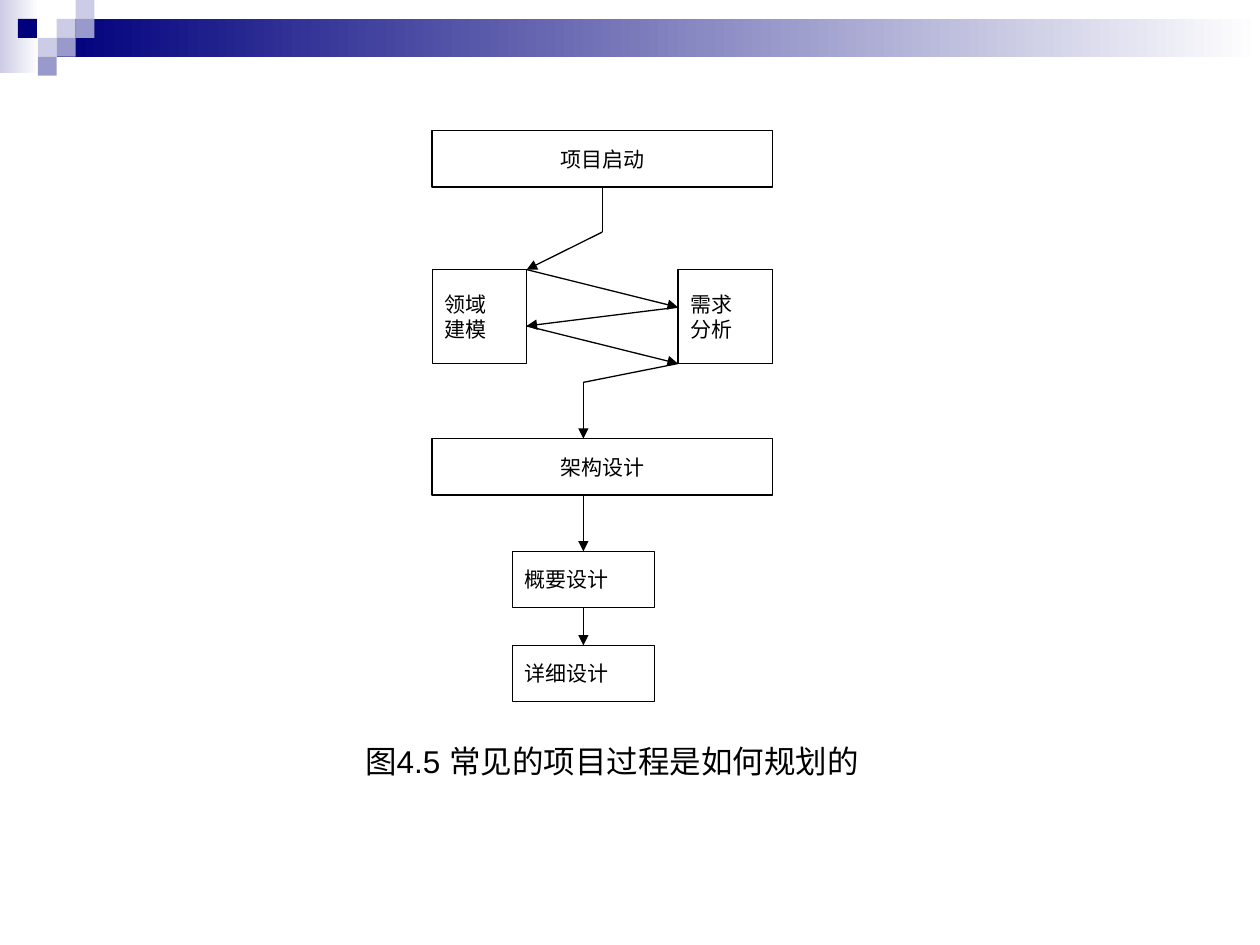
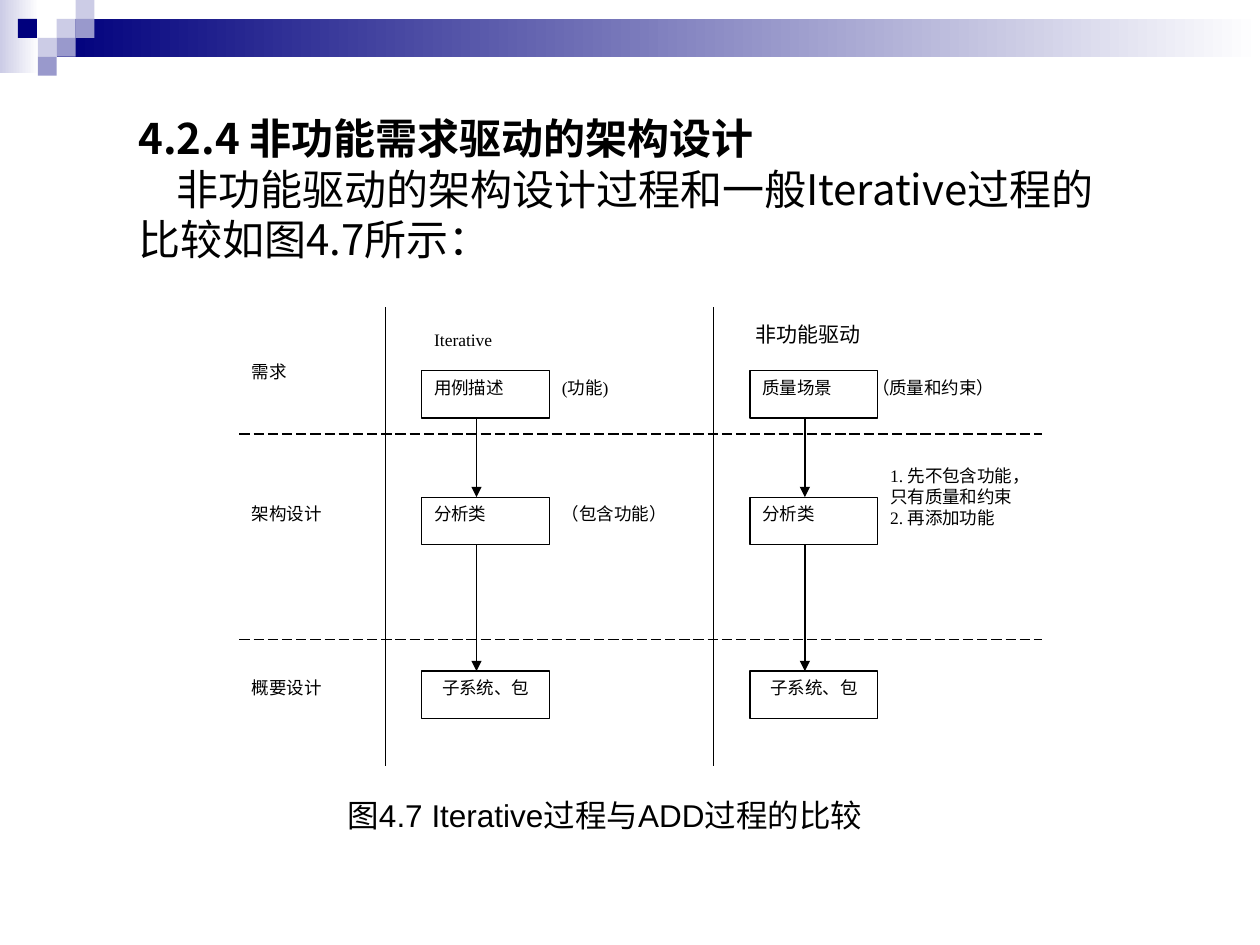
from dataclasses import dataclass
from typing import NamedTuple, Optional

from lxml.etree import SubElement
from pptx import Presentation
from pptx.dml.color import RGBColor as Color
from pptx.enum.dml import MSO_LINE_DASH_STYLE as Dash
from pptx.enum.shapes import MSO_CONNECTOR as Connector, MSO_SHAPE as Preset
from pptx.enum.text import MSO_ANCHOR as Anchor, PP_ALIGN as Align
from pptx.oxml.ns import qn
from pptx.util import Inches, Pt

TOP, BOTTOM = 0, 2


@dataclass(frozen=True)
class Theme:
    ink: Color = Color.from_string("000000")
    paper: Color = Color.from_string("FFFFFF")
    navy: Color = Color.from_string("00007D")
    lilac: Color = Color.from_string("9999CC")
    mist: Color = Color.from_string("CCCCE6")
    serif: str = "Times New Roman"
    sans: str = "Arial"
    chinese: str = "Noto Sans CJK SC"
    heading_size: float = 24
    caption_size: float = 18
    step_size: float = 12
    label_size: float = 10
    line_width: float = 0.75


THEME = Theme()


@dataclass(frozen=True)
class Grid:
    left: float
    top: float
    width: float
    height: float
    columns: int
    rows: int

    def point(self, column: float, row: float) -> tuple:
        return (Inches(self.left + column * self.width / self.columns),
                Inches(self.top + row * self.height / self.rows))

    def area(self, column: float, row: float, wide: float, high: float) -> tuple:
        left, top = self.point(column, row)
        right, bottom = self.point(column + wide, row + high)
        return left, top, right - left, bottom - top


PAGE = Grid(0, 0, 10, 7.5, 100, 100)
HEADER = Grid(0, 0, 0.75, 0.6, 5, 4)
FLOW = Grid(3.43, 2.14, 2.7, 3.43, 18, 23)
COMPARISON = Grid(1.9, 2.44, 6.37, 3.64, 44, 29)


class Tile(NamedTuple):
    column: float
    row: float
    color: Color


class Step(NamedTuple):
    column: float
    row: float
    wide: float
    high: float
    lines: tuple
    centered: bool = False


class Arrow(NamedTuple):
    start: tuple
    end: tuple
    head: bool = True
    source: Optional[str] = None
    target: Optional[str] = None


class Label(NamedTuple):
    column: float
    row: float
    wide: float
    lines: tuple
    size: float = THEME.label_size
    high: float = 3


class Process(NamedTuple):
    column: int
    boxes: tuple


TILES = (
    Tile(3, 1, THEME.mist), Tile(4, 0, THEME.mist), Tile(4, 1, THEME.lilac),
    Tile(2, 2, THEME.mist), Tile(0.95, 1, THEME.navy),
    Tile(3, 2, THEME.lilac), Tile(2, 3, THEME.lilac),
)

STEPS = {
    "start": Step(0, -7.4, 18, 3, ("项目启动",), True),
    "domain": Step(0, 0, 5, 5, ("领域", "建模")),
    "needs": Step(13, 0, 5, 5, ("需求", "分析")),
    "architecture": Step(0, 9, 18, 3, ("架构设计",), True),
    "outline": Step(4.25, 15, 7.5, 3, ("概要设计",)),
    "detail": Step(4.25, 20, 7.5, 3, ("详细设计",)),
}

ARROWS = (
    Arrow((9, -4.4), (9, -2), head=False, source="start"),
    Arrow((9, -2), (5, 0)),
    Arrow((5, 0), (13, 2)),
    Arrow((13, 2), (5, 3)),
    Arrow((5, 3), (13, 5)),
    Arrow((13, 5), (8, 6), head=False),
    Arrow((8, 6), (8, 9)),
    Arrow((8, 12), (8, 15), target="outline"),
    Arrow((8, 18), (8, 20), source="outline", target="detail"),
)

STAGE_ROWS = (4, 12, 23)
BOX_WIDE, BOX_HIGH = 7, 3
PROCESSES = (
    Process(10, ("用例描述", "分析类", "子系统、包")),
    Process(28, ("质量场景", "分析类", "子系统、包")),
)
LABELS = (
    Label(0, 3, 6, ("需求",)),
    Label(0, 12, 7, ("架构设计",)),
    Label(0, 23, 7, ("概要设计",)),
    Label(10, 1, 6, ("Iterative",)),
    Label(27.6, 0.5, 8.8, ("非功能驱动",), THEME.step_size),
    Label(17, 4, 6, ("(功能)",)),
    Label(34, 4, 10, ("（质量和约束）",)),
    Label(17, 12, 9, ("（包含功能）",)),
    Label(35, 9.6, 9, ("1. 先不包含功能，只有质量和约束", "2. 再添加功能"), high=9.9),
)


def write_text(box, lines, *, size, font=THEME.serif, align=Align.LEFT,
               anchor=Anchor.TOP, wrap=True, bold_lines=(), indents=()):
    """Fill a box with one paragraph a line; indents maps line number to inches."""
    frame = box.text_frame
    frame.word_wrap = wrap
    frame.vertical_anchor = anchor
    indents = dict(indents)
    for number, line in enumerate(lines):
        para = frame.paragraphs[0] if number == 0 else frame.add_paragraph()
        para.alignment = align
        if number in indents:
            para._p.get_or_add_pPr().set("indent", str(Inches(indents[number])))
        span = para.add_run()
        span.text = line
        span.font.size = Pt(size)
        span.font.name = font
        span.font.bold = number in bold_lines
        span.font.color.rgb = THEME.ink
        SubElement(span._r.get_or_add_rPr(), qn("a:ea"), typeface=THEME.chinese)


def add_rectangle(page, area: tuple, color: Color, fade_to: Optional[Color] = None,
                  outlined: bool = False):
    box = page.shapes.add_shape(Preset.RECTANGLE, *area)
    box.shadow.inherit = False
    if fade_to is None:
        box.fill.solid()
        box.fill.fore_color.rgb = color
    else:
        box.fill.gradient()
        box.fill.gradient_angle = 0
        for stop, shade in zip(box.fill.gradient_stops, (color, fade_to)):
            stop.color.rgb = shade
    if outlined:
        box.line.color.rgb = THEME.ink
        box.line.width = Pt(THEME.line_width)
    else:
        box.line.fill.background()
    return box


def add_line(page, start: tuple, end: tuple, head: bool = False, dashed: bool = False):
    line = page.shapes.add_connector(Connector.STRAIGHT, *start, *end)
    line.line.color.rgb = THEME.ink
    line.line.width = Pt(THEME.line_width)
    if dashed:
        line.line.dash_style = Dash.LONG_DASH
    if head:
        SubElement(line.line._get_or_add_ln(), qn("a:tailEnd"), type="triangle")
    SubElement(line._element.spPr, qn("a:effectLst"))
    return line


def add_text(page, area: tuple, lines: tuple, **text_format):
    write_text(page.shapes.add_textbox(*area), lines, **text_format)


def add_caption(page, area: tuple, caption: str):
    add_text(page, area, (caption,), size=THEME.caption_size, font=THEME.sans)


def add_page(deck):
    """Add a blank page with the shared header band and tiles."""
    page = deck.slides.add_slide(deck.slide_layouts[6])
    add_rectangle(page, PAGE.area(0, 0, 3.1, 7.75), THEME.mist, THEME.paper)
    add_rectangle(page, PAGE.area(4.5, 2, 95.5, 4), THEME.navy, THEME.paper)
    for tile in TILES:
        add_rectangle(page, HEADER.area(tile.column, tile.row, 1, 1), tile.color)
    return page


def build_flow_page(deck):
    page = add_page(deck)
    boxes = {}
    for name, step in STEPS.items():
        area = FLOW.area(step.column, step.row, step.wide, step.high)
        boxes[name] = add_rectangle(page, area, THEME.paper, outlined=True)
        write_text(boxes[name], step.lines, size=THEME.step_size,
                   align=Align.CENTER if step.centered else Align.LEFT,
                   anchor=Anchor.MIDDLE, wrap=step.centered)
    for arrow in ARROWS:
        line = add_line(page, FLOW.point(*arrow.start), FLOW.point(*arrow.end), arrow.head)
        if arrow.source:
            line.begin_connect(boxes[arrow.source], BOTTOM)
        if arrow.target:
            line.end_connect(boxes[arrow.target], TOP)
    add_caption(page, PAGE.area(28, 77.9, 42, 9.3), "图4.5 常见的项目过程是如何规划的")


def build_comparison_page(deck):
    page = add_page(deck)
    heading = ("4.2.4 非功能需求驱动的架构设计",
               "非功能驱动的架构设计过程和一般Iterative过程的比较如图4.7所示：")
    add_text(page, PAGE.area(10, 11.3, 79.2, 28), heading, size=THEME.heading_size,
             font=THEME.chinese, bold_lines=(0,), indents={1: 0.3})
    for column in (8, 26):
        add_line(page, COMPARISON.point(column, 0), COMPARISON.point(column, 29))
    for row in (8, 21):
        add_line(page, COMPARISON.point(0, row), COMPARISON.point(44, row), dashed=True)
    for process in PROCESSES:
        for row, name in zip(STAGE_ROWS, process.boxes):
            area = COMPARISON.area(process.column, row, BOX_WIDE, BOX_HIGH)
            box = add_rectangle(page, area, THEME.paper, outlined=True)
            last = row == STAGE_ROWS[-1]
            write_text(box, (name,), size=THEME.label_size,
                       align=Align.CENTER if last else Align.LEFT)
        for upper, lower in zip(STAGE_ROWS, STAGE_ROWS[1:]):
            column = process.column + 3
            add_line(page, COMPARISON.point(column, upper + BOX_HIGH),
                     COMPARISON.point(column, lower), head=True)
    for label in LABELS:
        area = COMPARISON.area(label.column, label.row, label.wide, label.high)
        add_text(page, area, label.lines, size=label.size)
    add_caption(page, PAGE.area(26.6, 83.6, 45.7, 9.3), "图4.7 Iterative过程与ADD过程的比较")


def main():
    deck = Presentation()
    deck.slide_width, deck.slide_height = Inches(PAGE.width), Inches(PAGE.height)
    build_flow_page(deck)
    build_comparison_page(deck)
    deck.save("out.pptx")


if __name__ == "__main__":
    main()
